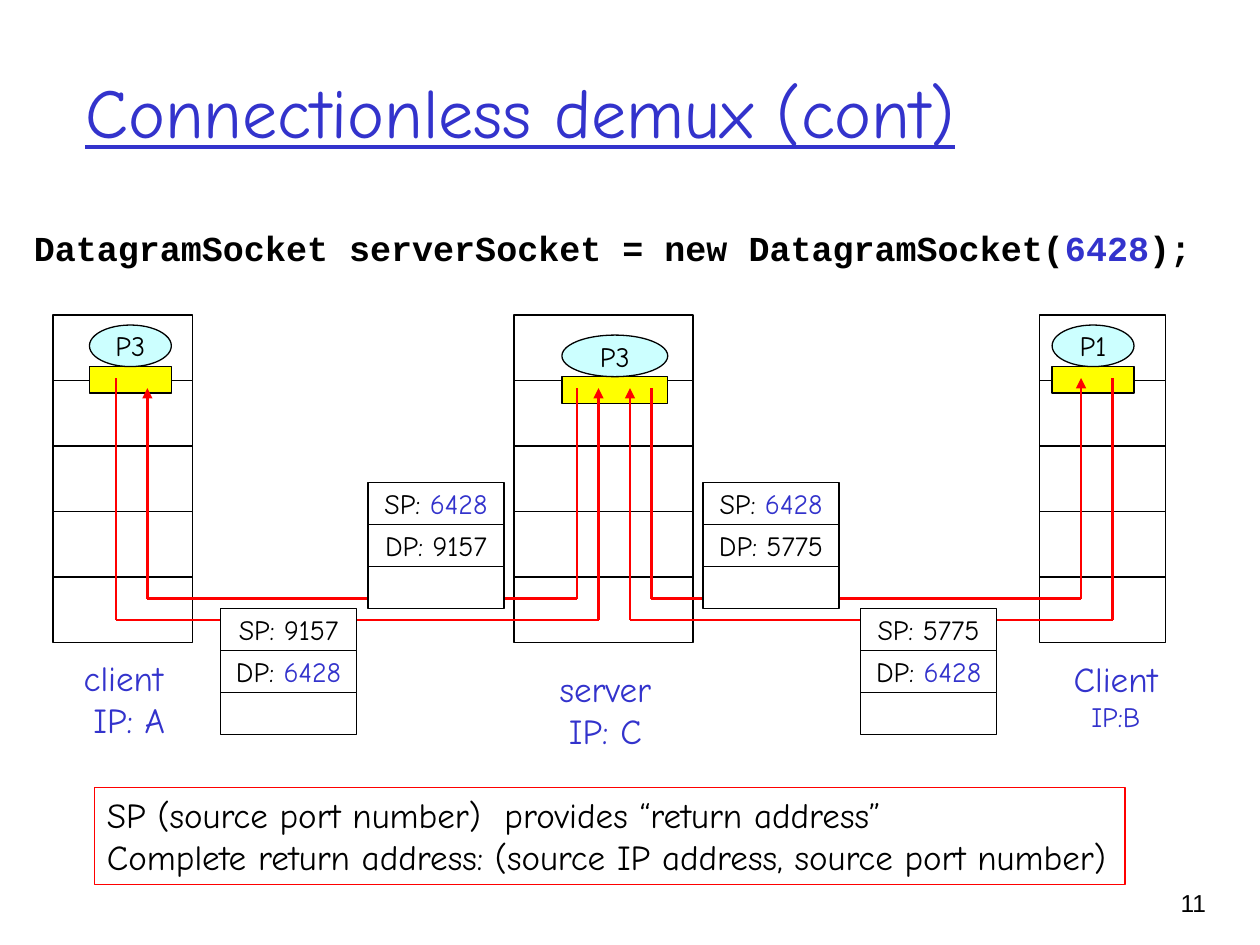
from lxml import etree
from pptx import Presentation
from pptx.dml.color import RGBColor
from pptx.enum.shapes import MSO_CONNECTOR, MSO_SHAPE
from pptx.enum.text import MSO_ANCHOR, PP_ALIGN
from pptx.oxml.ns import qn
from pptx.util import Inches, Pt

RECTANGLE, OVAL = MSO_SHAPE.RECTANGLE, MSO_SHAPE.OVAL
STRAIGHT = MSO_CONNECTOR.STRAIGHT
TOP, MIDDLE = MSO_ANCHOR.TOP, MSO_ANCHOR.MIDDLE
LEFT, CENTER, RIGHT = PP_ALIGN.LEFT, PP_ALIGN.CENTER, PP_ALIGN.RIGHT

BLACK = RGBColor(0x00, 0x00, 0x00)
WHITE = RGBColor(0xFF, 0xFF, 0xFF)
BLUE = RGBColor(0x33, 0x33, 0xCC)
RED = RGBColor(0xFF, 0x00, 0x00)
YELLOW = RGBColor(0xFF, 0xFF, 0x00)
PALE_CYAN = RGBColor(0xCC, 0xFF, 0xFF)

HAND_FONT, CODE_FONT, PLAIN_FONT = "Comic Neue", "Courier New", "Arial"
SERVER_PORT = "6428"
LAYER_COUNT = 5
LAYER_HEIGHT = 0.52
FIELD_WIDTH, FIELD_HEIGHT = 1.08, 1 / 3


def write(shape, lines, sizes, color=BLACK, font=HAND_FONT, align=LEFT,
          anchor=TOP, wrap=False, bold=None, underline=None):
    """Write one paragraph per line, with the server port in blue."""
    frame = shape.text_frame
    frame.word_wrap = wrap
    frame.vertical_anchor = anchor
    for index, (line, size) in enumerate(zip(lines, sizes)):
        paragraph = frame.paragraphs[0] if index == 0 else frame.add_paragraph()
        paragraph.alignment = align
        paragraph.font.name = font
        paragraph.font.size = Pt(size)
        paragraph.font.bold = bold
        paragraph.font.underline = underline
        before, port, after = line.partition(SERVER_PORT)
        for text, run_color in ((before, color), (port, BLUE), (after, color)):
            if text:
                run = paragraph.add_run()
                run.text = text
                run.font.color.rgb = run_color


def add_text(slide, box, lines, sizes, **style):
    shape = slide.shapes.add_textbox(*map(Inches, box))
    write(shape, lines, sizes, **style)
    return shape


def add_box(slide, kind, box, fill=None, line=BLACK):
    shape = slide.shapes.add_shape(kind, *map(Inches, box))
    shape.shadow.inherit = False
    if fill is None:
        shape.fill.background()
    else:
        shape.fill.solid()
        shape.fill.fore_color.rgb = fill
    shape.line.color.rgb = line
    shape.line.width = Pt(0.75)
    return shape


def add_line(slide, start, end, arrow=False):
    connector = slide.shapes.add_connector(STRAIGHT, *map(Inches, start + end))
    connector.line.color.rgb = RED
    connector.line.width = Pt(1.5)
    properties = connector._element.spPr
    if arrow:
        etree.SubElement(properties.get_or_add_ln(), qn("a:tailEnd"), type="triangle")
    etree.SubElement(properties, qn("a:effectLst"))


def add_host(slide, box, process, process_box, label_box, label, label_sizes):
    """Protocol stack with a process, its socket and a label below."""
    left, top, width = box
    for layer in range(LAYER_COUNT):
        layer_box = (left, top + layer * LAYER_HEIGHT, width, LAYER_HEIGHT)
        add_box(slide, RECTANGLE, layer_box, WHITE)

    # Socket directly under the process
    process_left, process_top, process_width = process_box
    process_height, socket_height = 0.33, 0.21
    add_box(slide, RECTANGLE, (process_left, process_top + process_height,
                               process_width, socket_height), YELLOW)
    oval = add_box(slide, OVAL, (process_left, process_top,
                                 process_width, process_height), PALE_CYAN)
    write(oval, [process], [16], align=CENTER, anchor=MIDDLE)
    add_text(slide, label_box, label, label_sizes, color=BLUE, align=CENTER)


def add_flow(slide, start, level, end):
    """Path down from one socket, across, and up to another."""
    start_corner, end_corner = (start[0], level), (end[0], level)
    add_line(slide, start, start_corner)
    add_line(slide, start_corner, end_corner)
    add_line(slide, end_corner, end, arrow=True)


def add_packet(slide, left, top, source_port, destination_port):
    """Datagram with two port fields and an empty payload."""
    fields = (f"SP: {source_port}", f"DP: {destination_port}", "")
    for row, text in enumerate(fields):
        field = add_box(slide, RECTANGLE, (left, top + row * FIELD_HEIGHT,
                                           FIELD_WIDTH, FIELD_HEIGHT), WHITE)
        if text:
            write(field, [text], [16], align=CENTER, anchor=MIDDLE)


def add_heading(slide):
    add_text(slide, (0.58, 0.25, 8.5, 1.25), ["Connectionless demux (cont)"], [40],
             color=BLUE, anchor=MIDDLE, wrap=True, underline=True)
    code = add_text(slide, (0.17, 1.75, 9.5, 0.67),
                    ["DatagramSocket serverSocket = new DatagramSocket(6428);"],
                    [20], font=CODE_FONT, wrap=True, bold=True)
    code.text_frame.paragraphs[0].space_before = Pt(0)


def add_diagram(slide):
    # Hosts
    add_host(slide, (0.42, 2.5, 1.11), "P3", (0.71, 2.58, 0.65),
             (0.55, 5.16, 0.86, 0.77), ["client", " IP: A"], [20, 20])
    add_host(slide, (8.25, 2.5, 1), "P1", (8.35, 2.58, 0.65),
             (8.42, 5.17, 0.87, 0.7), ["Client", "IP:B"], [20, 16])
    add_host(slide, (4.08, 2.5, 1.42), "P3", (4.46, 2.66, 0.84),
             (4.34, 5.25, 0.93, 0.77), ["server", "IP: C"], [20, 20])

    # Requests run along the lower level, replies along the upper one
    request_level, reply_level = 4.92, 4.75
    add_flow(slide, (0.92, 3), request_level, (4.75, 3.08))
    add_flow(slide, (4.58, 3.08), reply_level, (1.17, 3.08))
    add_flow(slide, (8.83, 3), request_level, (5, 3.08))
    add_flow(slide, (5.17, 3.08), reply_level, (8.58, 3))

    # Datagrams on the flows
    reply_top, request_top = 3.83, 4.83
    for client_port, reply_left, request_left in (("9157", 2.92, 1.75),
                                                  ("5775", 5.58, 6.83)):
        add_packet(slide, reply_left, reply_top, SERVER_PORT, client_port)
        add_packet(slide, request_left, request_top, client_port, SERVER_PORT)


def add_footer(slide):
    note = add_box(slide, RECTANGLE, (0.75, 6.25, 8.18, 0.77), line=RED)
    write(note, ["SP (source port number)  provides “return address”",
                 "Complete return address: (source IP address, source port number)"],
          [20, 20])
    add_text(slide, (8.93, 7, 0.74, 0.5), ["11"], [14],
             font=PLAIN_FONT, align=RIGHT, wrap=True)


def main():
    presentation = Presentation()
    presentation.slide_width = Inches(10)
    presentation.slide_height = Inches(7.5)
    slide = presentation.slides.add_slide(presentation.slide_layouts[6])
    add_heading(slide)
    add_diagram(slide)
    add_footer(slide)
    presentation.save("out.pptx")


if __name__ == "__main__":
    main()
